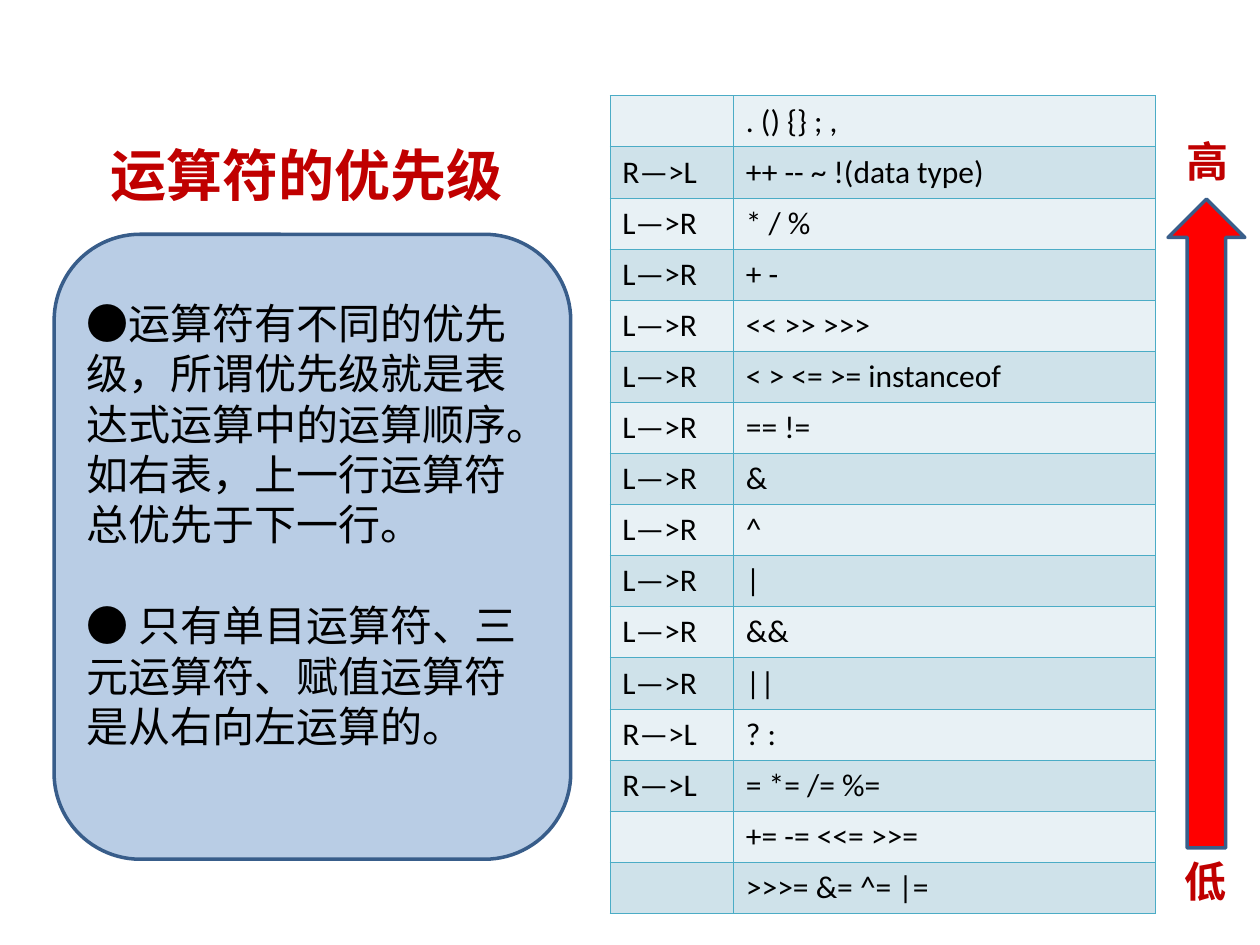
import pptx
import pptx.dml.color
import pptx.enum.shapes
import pptx.oxml
import pptx.oxml.ns
import pptx.util

WIDE, HIGH = pptx.util.Inches(10), pptx.util.Inches(7.5)
COL, ROW = WIDE / 100, HIGH / 75  # slide grid: 100 columns by 75 rows
GAP = " "  # one em space between operators

HUES = {
    "panel": "B9CDE5", "edge": "385D8A", "title": "C00000", "ink": "000000",
    "light": "E8F1F5", "dark": "CFE2EA", "grid": "4BACC6",
    "arrow": "FF0000", "rim": "395E8A",
}
FORMS = {
    "title": {"size": pptx.util.Pt(32), "name": "Arial", "bold": True},
    "body": {"size": pptx.util.Pt(24), "name": "Arial", "bold": False},
    "cell": {"size": pptx.util.Pt(18), "name": "Calibri", "bold": False},
    "mark": {"size": pptx.util.Pt(24), "name": "Noto Sans CJK SC", "bold": True},
}
NOTES = [
    "●运算符有不同的优先级，所谓优先级就是表达式运算中的运算顺序。如右表，上一行运算符总优先于下一行。",
    "● 只有单目运算符、三元运算符、赋值运算符是从右向左运算的。",
]
RANKS = [
    ("", ".", "()", "{}", ";", ","),
    ("R—>L", "++", "--", "~", "!(data type)"),
    ("L—>R", "*", "/", "%"),
    ("L—>R", "+", "-"),
    ("L—>R", "<<", ">>", ">>>"),
    ("L—>R", "<", ">", "<=", ">=", "instanceof"),
    ("L—>R", "==", "!="),
    ("L—>R", "&"),
    ("L—>R", "^"),
    ("L—>R", "|"),
    ("L—>R", "&&"),
    ("L—>R", "||"),
    ("R—>L", "?", ":"),
    ("R—>L", "=", "*=", "/=", "%="),
    ("", "+=", "-=", "<<=", ">>="),
    ("", ">>>=", "&=", "^=", "|="),
]


def hue(key):
    return pptx.dml.color.RGBColor.from_string(HUES[key])


def place(box):
    x, y, w, h = box
    return [round(v) for v in (x * COL, y * ROW, w * COL, h * ROW)]


def write(par, text, form, ink):
    run = par.add_run()
    run.text = text
    for key, value in FORMS[form].items():
        setattr(run.font, key, value)
    run.font.color.rgb = hue(ink)


def label(slide, box, lines, form, ink, gap=0):
    frame = slide.shapes.add_textbox(*place(box)).text_frame
    frame.word_wrap = True
    for i, line in enumerate(lines):
        par = frame.add_paragraph() if i else frame.paragraphs[0]
        if i:
            par.space_before = pptx.util.Pt(gap)
        write(par, line, form, ink)


def block(slide, kind, box, fill, edge):
    shape = slide.shapes.add_shape(kind, *place(box))
    shape.shadow.inherit = False
    shape.fill.solid()
    shape.fill.fore_color.rgb = hue(fill)
    shape.line.color.rgb = hue(edge)
    shape.line.width = pptx.util.Pt(2)


def rule(cell):
    """Draw a thin line on all four sides of a cell."""
    props = cell._tc.get_or_add_tcPr()
    for i, side in enumerate(("lnL", "lnR", "lnT", "lnB")):
        props.insert(i, pptx.oxml.parse_xml(
            f'<a:{side} {pptx.oxml.ns.nsdecls("a")} w="5715"><a:solidFill>'
            f'<a:srgbClr val="{HUES["grid"]}"/></a:solidFill></a:{side}>'))


def notes(slide, box):
    x, y, w, h = box
    # Heading above the panel
    label(slide, (x + 3.5, y - 7.9, 33.9, 6.4), ["运算符的优先级"], "title", "title")
    # Panel and its two points, one line apart
    block(slide, pptx.enum.shapes.MSO_SHAPE.ROUNDED_RECTANGLE, box, "panel", "edge")
    label(slide, (x + 1.6, y + 4.5, w - 3.2, h - 5.2), NOTES, "body", "ink", 29)


def ranks(slide, box):
    table = slide.shapes.add_table(len(RANKS), 2, *place(box)).table
    table.first_row = table.horz_banding = False
    side = 9.8
    for col, width in zip(table.columns, (side, box[2] - side)):
        col.width = round(width * COL)
    for i, (way, *signs) in enumerate(RANKS):
        table.rows[i].height = round(box[3] * ROW / len(RANKS))
        for cell, text in zip(table.rows[i].cells, (way, GAP.join(signs))):
            cell.fill.solid()
            cell.fill.fore_color.rgb = hue("dark" if i % 2 else "light")
            rule(cell)
            if text:
                write(cell.text_frame.paragraphs[0], text, "cell", "ink")


def scale(slide, box):
    x, y, w, h = box
    block(slide, pptx.enum.shapes.MSO_SHAPE.UP_ARROW, box, "arrow", "rim")
    # Marks at the two ends of the arrow
    label(slide, (x + 0.5, y - 5.5, 5, 5), ["高"], "mark", "title")
    label(slide, (x + 0.3, y + h + 0.1, 5.2, 5), ["低"], "mark", "title")


def main():
    deck = pptx.Presentation()
    deck.slide_width, deck.slide_height = WIDE, HIGH
    slide = deck.slides.add_slide(deck.slide_layouts[6])
    notes(slide, (4.3, 18.6, 41, 49.6))
    ranks(slide, (48.4, 7.6, 43.3, 64.9))
    scale(slide, (92.7, 15.8, 6.1, 51.5))
    deck.save("out.pptx")


if __name__ == "__main__":
    main()
